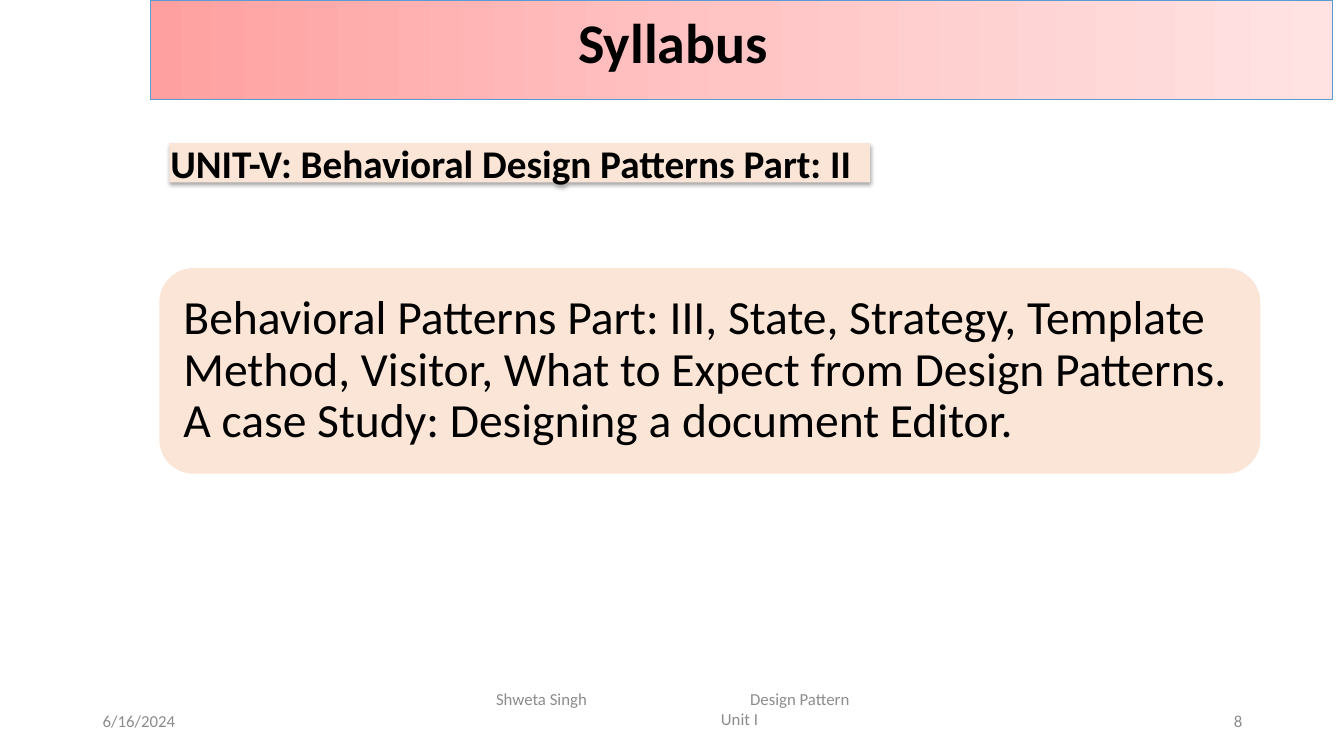
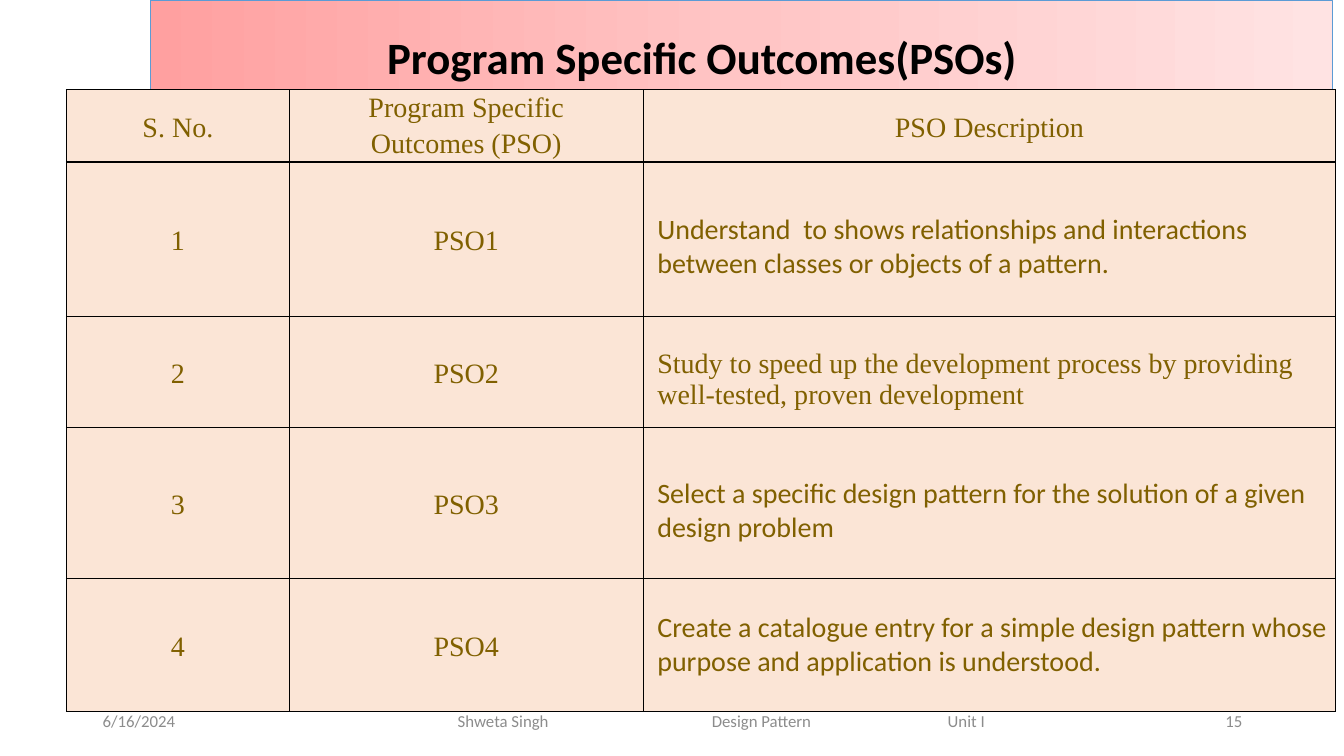
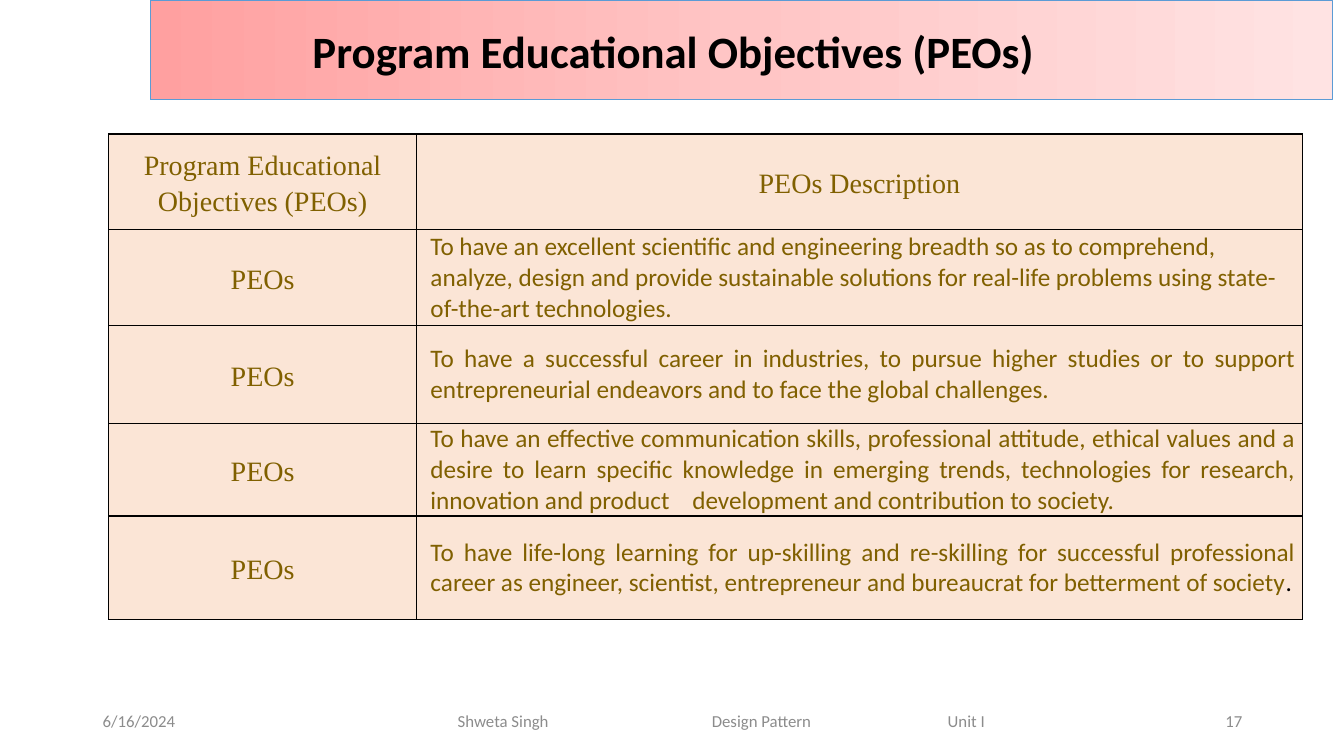
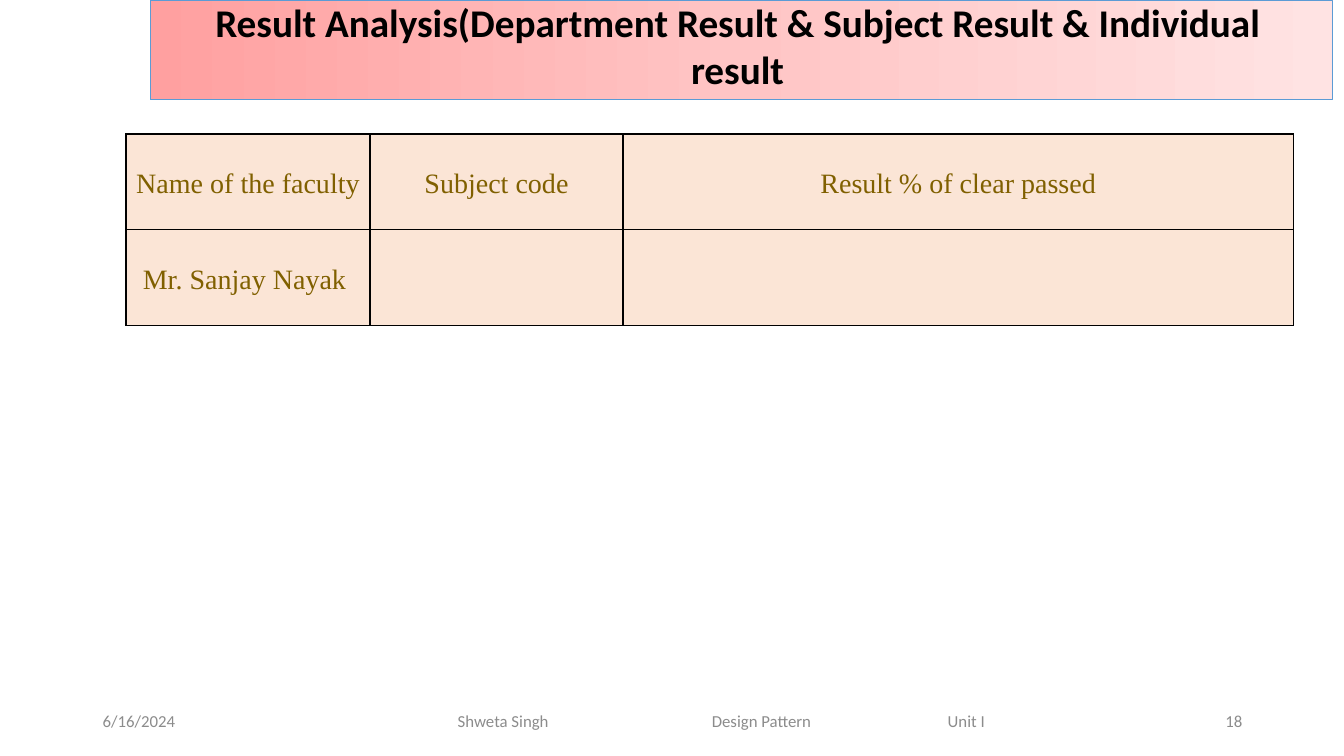
import copy
import dataclasses

import lxml.etree
import pptx
import pptx.dml.color
import pptx.enum.shapes
import pptx.enum.text
import pptx.oxml.ns
import pptx.util

Inches = pptx.util.Inches
Pt = pptx.util.Pt
ALIGN = pptx.enum.text.PP_ALIGN
ANCHOR = pptx.enum.text.MSO_ANCHOR
SHAPE = pptx.enum.shapes.MSO_SHAPE
qn = pptx.oxml.ns.qn


@dataclasses.dataclass(frozen=True)
class Theme:
    sans: str = "Calibri"
    serif: str = "Times New Roman"
    ink: str = "000000"
    olive: str = "806000"
    grey: str = "8C8C8C"
    peach: str = "FBE5D6"
    band_line: str = "5B9BD5"
    band_stops: tuple = ((0, "FFA0A0"), (0.5, "FFC5C5"), (1, "FFE3E3"))
    footer_size: int = 12
    body_size: int = 18
    table_size: int = 20
    heading_size: int = 28
    title_size: int = 32
    big_title_size: int = 40
    syllabus_size: int = 34


THEME = Theme()
BAND_BOX = (1.49, 0, 11.73, 0.99)
FOOTER_TOP = 6.95
FOOTER_HEIGHT = 0.4


@dataclasses.dataclass(frozen=True)
class Description:
    """A left-hand or justified table text; closing is a final run in ink."""
    text: str
    font: str = THEME.sans
    size: int = THEME.table_size
    align: ALIGN = ALIGN.LEFT
    top: float = 0
    closing: str = ""


def rgb(value):
    return pptx.dml.color.RGBColor.from_string(value)


def lengths(box):
    return [Inches(value) for value in box]


def add_run(paragraph, text, size, color=THEME.ink, font=THEME.sans, bold=False):
    run = paragraph.add_run()
    run.text = text
    run.font.size = Pt(size)
    run.font.name = font
    run.font.bold = bold
    run.font.color.rgb = rgb(color)


def set_frame(frame, anchor=ANCHOR.TOP, inset_x=0.1, inset_y=0.05):
    frame.word_wrap = True
    frame.vertical_anchor = anchor
    frame.margin_left = frame.margin_right = Inches(inset_x)
    frame.margin_top = frame.margin_bottom = Inches(inset_y)
    return frame


def add_text(slide, box, text, size, align=ALIGN.LEFT, color=THEME.ink,
             bold=False, **frame_options):
    frame = set_frame(slide.shapes.add_textbox(*lengths(box)).text_frame, **frame_options)
    paragraph = frame.paragraphs[0]
    paragraph.alignment = align
    add_run(paragraph, text, size, color, bold=bold)
    return frame


def add_panel(slide, box, preset):
    panel = slide.shapes.add_shape(preset, *lengths(box))
    panel.shadow.inherit = False
    panel.fill.solid()
    panel.fill.fore_color.rgb = rgb(THEME.peach)
    panel.line.fill.background()
    return panel


def add_band(slide, box):
    band = add_panel(slide, box, SHAPE.RECTANGLE)
    band.fill.gradient()
    band.fill.gradient_angle = 0
    stop_list = band._element.spPr.find(qn("a:gradFill")).find(qn("a:gsLst"))
    stop_list.append(copy.deepcopy(stop_list[0]))
    for stop, (position, color) in zip(band.fill.gradient_stops, THEME.band_stops):
        stop.position = position
        stop.color.rgb = rgb(color)
    band.line.color.rgb = rgb(THEME.band_line)
    band.line.width = Pt(0.5)


def add_title(slide, box, text, size):
    add_text(slide, box, text, size, ALIGN.CENTER, bold=True)


def add_tab_stops(paragraph, positions):
    tab_list = lxml.etree.SubElement(paragraph._p.get_or_add_pPr(), qn("a:tabLst"))
    for position in positions:
        lxml.etree.SubElement(tab_list, qn("a:tab"), pos=str(Inches(position)), algn="l")


def add_footer(slide, number, box, two_lines):
    """Place date, course line and number; two_lines drops the unit below."""
    style = dict(color=THEME.grey, anchor=ANCHOR.MIDDLE)
    add_text(slide, (0.92, FOOTER_TOP, 3, FOOTER_HEIGHT), "6/16/2024",
             THEME.footer_size, **style)
    author_course = "Shweta Singh\tDesign Pattern"
    course_line = author_course if two_lines else author_course + "\tUnit I"
    frame = add_text(slide, box, course_line, THEME.footer_size,
                     inset_x=0, inset_y=0, **style)
    add_tab_stops(frame.paragraphs[0], (2.52, 4.86))
    if two_lines:
        unit = frame.add_paragraph()
        unit.alignment = ALIGN.CENTER
        add_run(unit, "Unit I", THEME.footer_size, THEME.grey)
    add_text(slide, (9.42, FOOTER_TOP, 3, FOOTER_HEIGHT), str(number),
             THEME.footer_size, ALIGN.RIGHT, **style)


def add_borders(cell):
    properties = cell._tc.get_or_add_tcPr()
    for side in ("lnL", "lnR", "lnT", "lnB"):
        border = lxml.etree.SubElement(properties, qn("a:" + side), w=str(Pt(1)))
        fill = lxml.etree.SubElement(border, qn("a:solidFill"))
        lxml.etree.SubElement(fill, qn("a:srgbClr"), val=THEME.ink)


def fill_cell(cell, content):
    add_borders(cell)
    cell.fill.solid()
    cell.fill.fore_color.rgb = rgb(THEME.peach)
    cell.vertical_anchor = ANCHOR.MIDDLE
    cell.margin_left = cell.margin_right = Inches(0.07)
    cell.margin_top = cell.margin_bottom = 0
    frame = cell.text_frame
    if isinstance(content, Description):
        cell.margin_left = Inches(0.14)
        cell.margin_top = Inches(content.top)
        paragraph = frame.paragraphs[0]
        paragraph.alignment = content.align
        add_run(paragraph, content.text, content.size, THEME.olive, content.font)
        if content.closing:
            add_run(paragraph, content.closing, content.size)
    elif content:
        lines = content.split("\n")
        for index, line in enumerate(lines):
            paragraph = frame.add_paragraph() if index else frame.paragraphs[0]
            paragraph.alignment = ALIGN.CENTER
            if index or len(lines) == 1:
                paragraph.line_spacing = 1.15
            add_run(paragraph, line, THEME.table_size, THEME.olive, THEME.serif)


def add_outcome_table(slide, left, top, widths, heights, rows):
    box = lengths((left, top, sum(widths), sum(heights)))
    table = slide.shapes.add_table(len(rows), len(widths), *box).table
    table.first_row = table.horz_banding = False
    for column, width in zip(table.columns, widths):
        column.width = Inches(width)
    for row, height, contents in zip(table.rows, heights, rows):
        row.height = Inches(height)
        for cell, content in zip(row.cells, contents):
            fill_cell(cell, content)


def add_unit_label(slide, box, text):
    label = add_panel(slide, box, SHAPE.RECTANGLE)
    effects = label._element.spPr.find(qn("a:effectLst"))
    shadow = lxml.etree.SubElement(
        effects, qn("a:outerShdw"), blurRad=str(Pt(3.1)), dist=str(Pt(1.8)),
        dir="5400000", algn="t", rotWithShape="0")
    color = lxml.etree.SubElement(shadow, qn("a:srgbClr"), val=THEME.ink)
    lxml.etree.SubElement(color, qn("a:alpha"), val="35000")
    frame = set_frame(label.text_frame, ANCHOR.MIDDLE, 0.01, 0)
    frame.paragraphs[0].alignment = ALIGN.LEFT
    add_run(frame.paragraphs[0], text, THEME.heading_size, bold=True)


def add_topics(slide, box, text):
    topics = add_panel(slide, box, SHAPE.ROUNDED_RECTANGLE)
    paragraph = set_frame(topics.text_frame, ANCHOR.MIDDLE, 0.14, 0.14).paragraphs[0]
    paragraph.alignment = ALIGN.LEFT
    paragraph.line_spacing = 0.9
    add_run(paragraph, text, THEME.syllabus_size)


def new_slide(deck, number, footer_box=(4.54, FOOTER_TOP, 5.3, FOOTER_HEIGHT),
              two_lines=False):
    slide = deck.slides.add_slide(deck.slide_layouts[6])
    add_band(slide, BAND_BOX)
    add_footer(slide, number, footer_box, two_lines)
    return slide


def syllabus_slide(deck):
    slide = new_slide(deck, 8, (4.92, 6.83, 4.83, FOOTER_HEIGHT), two_lines=True)
    add_unit_label(slide, (1.68, 1.42, 6.95, 0.39),
                   "UNIT-V: Behavioral Design Patterns Part: II ")
    add_topics(slide, (1.58, 2.66, 10.92, 2.04),
               "Behavioral Patterns Part: III, State, Strategy, Template Method, "
               "Visitor, What to Expect from Design Patterns. "
               "A case Study: Designing a document Editor.")
    add_title(slide, (3.34, 0.03, 6.67, 0.77), "Syllabus", THEME.big_title_size)


def specific_outcomes_slide(deck):
    slide = new_slide(deck, 15)
    descriptions = (
        Description("Understand  to shows relationships and interactions between "
                    "classes or objects of a pattern.", top=0.16),
        Description("Study to speed up the development process by providing "
                    "well-tested, proven development", THEME.serif, top=0.16),
        Description("Select a specific design pattern for the solution of a given "
                    "design problem", top=0.16),
        Description("Create a catalogue entry for a simple design pattern whose "
                    "purpose and application is understood."),
    )
    rows = [("S. No.", "Program Specific\nOutcomes (PSO)", "PSO Description")]
    rows += [(str(index), f"PSO{index}", description)
             for index, description in enumerate(descriptions, 1)]
    add_outcome_table(slide, 0.66, 0.89, (2.21, 3.51, 6.87),
                      (0.7, 1.53, 1.1, 1.5, 1.32), rows)
    add_title(slide, (3.63, 0.25, 6.67, 0.64), "Program Specific Outcomes(PSOs)",
              THEME.title_size)


def educational_objectives_slide(deck):
    slide = new_slide(deck, 17)
    body = dict(size=THEME.body_size)
    justified = dict(body, align=ALIGN.JUSTIFY)
    descriptions = (
        Description("To have an excellent scientific and engineering breadth so as to "
                    "comprehend, analyze, design and provide sustainable solutions for "
                    "real-life problems using state-of-the-art technologies.", **body),
        Description("To have a successful career in industries, to pursue higher studies "
                    "or to support entrepreneurial endeavors and to face the global "
                    "challenges.", **justified),
        Description("To have an effective communication skills, professional attitude, "
                    "ethical values and a desire to learn specific knowledge in emerging "
                    "trends, technologies for research, innovation and product "
                    "   development and contribution to society.", **justified),
        Description("To have life-long learning for up-skilling and re-skilling for "
                    "successful professional career as engineer, scientist, entrepreneur "
                    "and bureaucrat for betterment of society", closing=".", **justified),
    )
    rows = [("Program Educational Objectives (PEOs)", "PEOs Description")]
    rows += [("PEOs", description) for description in descriptions]
    add_outcome_table(slide, 1.08, 1.33, (3.05, 8.79),
                      (0.95, 0.95, 0.97, 0.92, 1.03), rows)
    add_title(slide, (2.28, 0.19, 8.8, 0.64), "Program Educational Objectives (PEOs)",
              THEME.title_size)


def result_analysis_slide(deck):
    slide = new_slide(deck, 18)
    rows = (("Name of the faculty ", "Subject code", "Result % of clear passed"),
            ("Mr. Sanjay Nayak ", "", ""))
    add_outcome_table(slide, 1.25, 1.33, (2.42, 2.51, 6.65), (0.95, 0.95), rows)
    add_title(slide, (1.61, -0.07, 11.41, 1.04),
              "Result Analysis(Department Result & Subject Result & Individual result",
              THEME.heading_size)


def main():
    deck = pptx.Presentation()
    deck.slide_width = Inches(13.33)
    deck.slide_height = Inches(7.5)
    syllabus_slide(deck)
    specific_outcomes_slide(deck)
    educational_objectives_slide(deck)
    result_analysis_slide(deck)
    deck.save("out.pptx")


if __name__ == "__main__":
    main()
